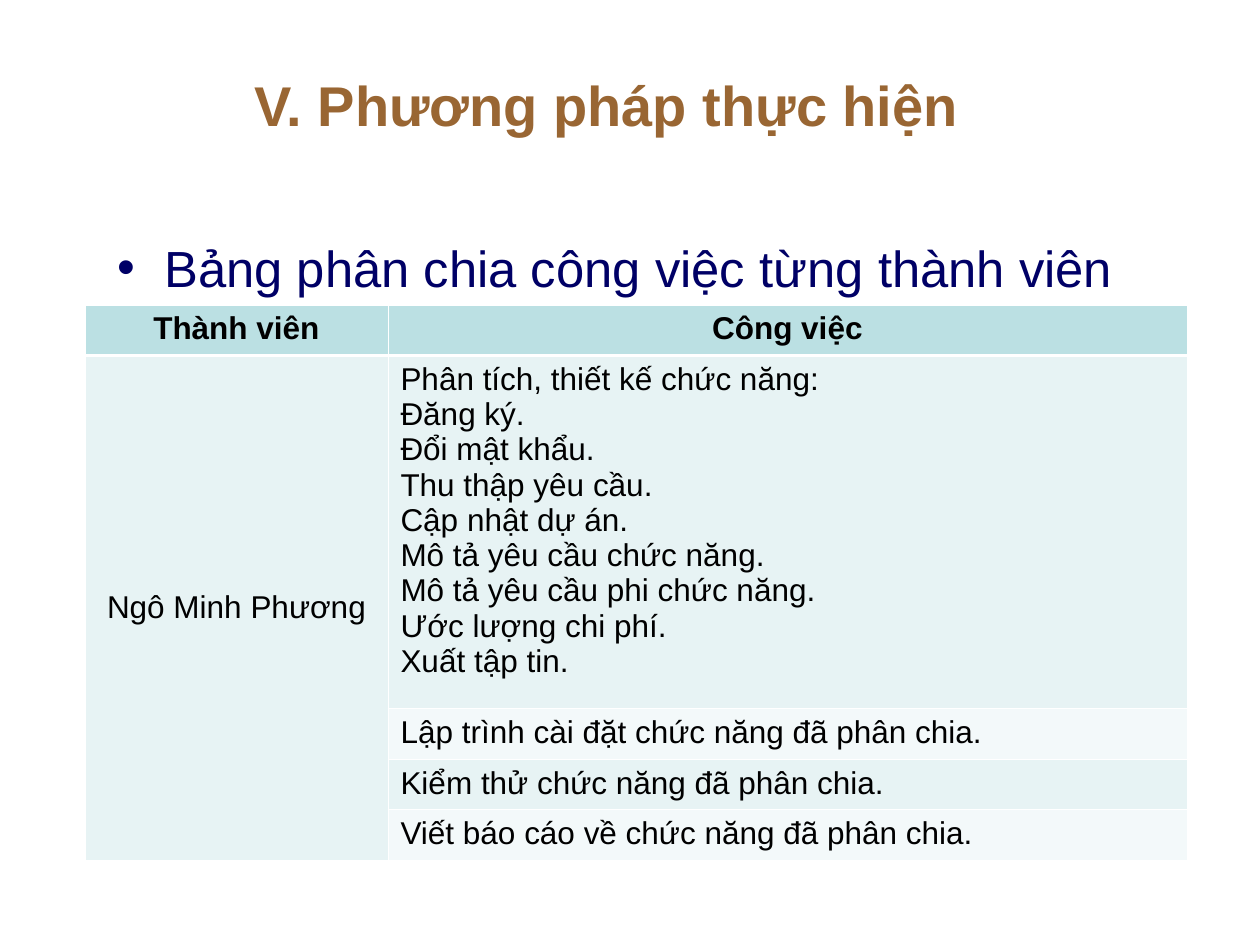
import pptx
import pptx.dml.color
import pptx.enum.text
import pptx.oxml
import pptx.oxml.ns
import pptx.util
from lxml import etree

PX = 914400 // 126
ALIGN = pptx.enum.text.PP_ALIGN
ANCHOR = pptx.enum.text.MSO_ANCHOR


def style(paragraph, size, color, bold=False, align=ALIGN.LEFT):
    paragraph.alignment = align
    paragraph.font.name = "Arial"
    paragraph.font.size = pptx.util.Pt(size)
    paragraph.font.bold = bold
    paragraph.font.color.rgb = pptx.dml.color.RGBColor.from_string(color)


def add_child(parent, tag, **attributes):
    return etree.SubElement(parent, pptx.oxml.ns.qn(tag), attributes)


presentation = pptx.Presentation()
presentation.slide_width = 1260 * PX
presentation.slide_height = 945 * PX
slide = presentation.slides.add_slide(presentation.slide_layouts[6])

# Title
title = slide.shapes.add_textbox(242 * PX, 39 * PX, 976 * PX, 130 * PX).text_frame
title.word_wrap = True
title.vertical_anchor = ANCHOR.MIDDLE
title.text = "V. Phương pháp thực hiện"
style(title.paragraphs[0], 32, "996633", bold=True)

# Bullet line
body = slide.shapes.add_textbox(105 * PX, 226 * PX, 1113 * PX, 89 * PX).text_frame
body.word_wrap = True
body.margin_top = 11 * PX
body.text = "Bảng phân chia công việc từng thành viên"
bullet = body.paragraphs[0]
properties = bullet._p.get_or_add_pPr()
properties.set("marL", str(47 * PX))
properties.set("indent", str(-47 * PX))
bullet_color = add_child(properties, "a:buClr")
add_child(bullet_color, "a:srgbClr", val="000066")
add_child(properties, "a:buFont", typeface="Arial")
add_child(properties, "a:buChar", char="•")
style(bullet, 29, "000066", align=ALIGN.JUSTIFY)

# Work table
functions = [
    "Phân tích, thiết kế chức năng:",
    "Đăng ký.",
    "Đổi mật khẩu.",
    "Thu thập yêu cầu.",
    "Cập nhật dự án.",
    "Mô tả yêu cầu chức năng.",
    "Mô tả yêu cầu phi chức năng.",
    "Ước lượng chi phí.",
    "Xuất tập tin.",
]
rows = [
    ("Thành viên", "Công việc"),
    ("Ngô Minh Phương", "\n".join(functions)),
    ("", "Lập trình cài đặt chức năng đã phân chia."),
    ("", "Kiểm thử chức năng đã phân chia."),
    ("", "Viết báo cáo về chức năng đã phân chia."),
]
row_heights = [50, 353, 51, 50, 50]
column_widths = [303, 799]
fills = ["BBE0E3", "E7F3F4", "F3F9FA", "E7F3F4", "F3F9FA"]

table = slide.shapes.add_table(
    len(rows), len(column_widths), 85 * PX, 305 * PX,
    sum(column_widths) * PX, sum(row_heights) * PX).table
for column, width in zip(table.columns, column_widths):
    column.width = width * PX

for row_index, (texts, height, fill) in enumerate(zip(rows, row_heights, fills)):
    table.rows[row_index].height = height * PX
    for column_index, text in enumerate(texts):
        cell = table.cell(row_index, column_index)
        cell.text = text
        header = row_index == 0
        centered = header or column_index == 0
        for paragraph in cell.text_frame.paragraphs:
            style(paragraph, 18, "000000", bold=header,
                  align=ALIGN.CENTER if centered else ALIGN.LEFT)
        cell_properties = cell._tc.get_or_add_tcPr()
        for side in "LRTB":
            thick = (row_index, side) in [(0, "B"), (1, "T")]
            line = add_child(cell_properties, "a:ln" + side,
                             w=str(pptx.util.Pt(1.47 if thick else 0.45)))
            add_child(add_child(line, "a:solidFill"), "a:srgbClr", val="FFFFFF")
        cell.fill.solid()
        cell.fill.fore_color.rgb = pptx.dml.color.RGBColor.from_string(
            fills[1] if column_index == 0 and not header else fill)

member = table.cell(1, 0)
member.merge(table.cell(4, 0))
member.vertical_anchor = ANCHOR.MIDDLE

presentation.save("out.pptx")
